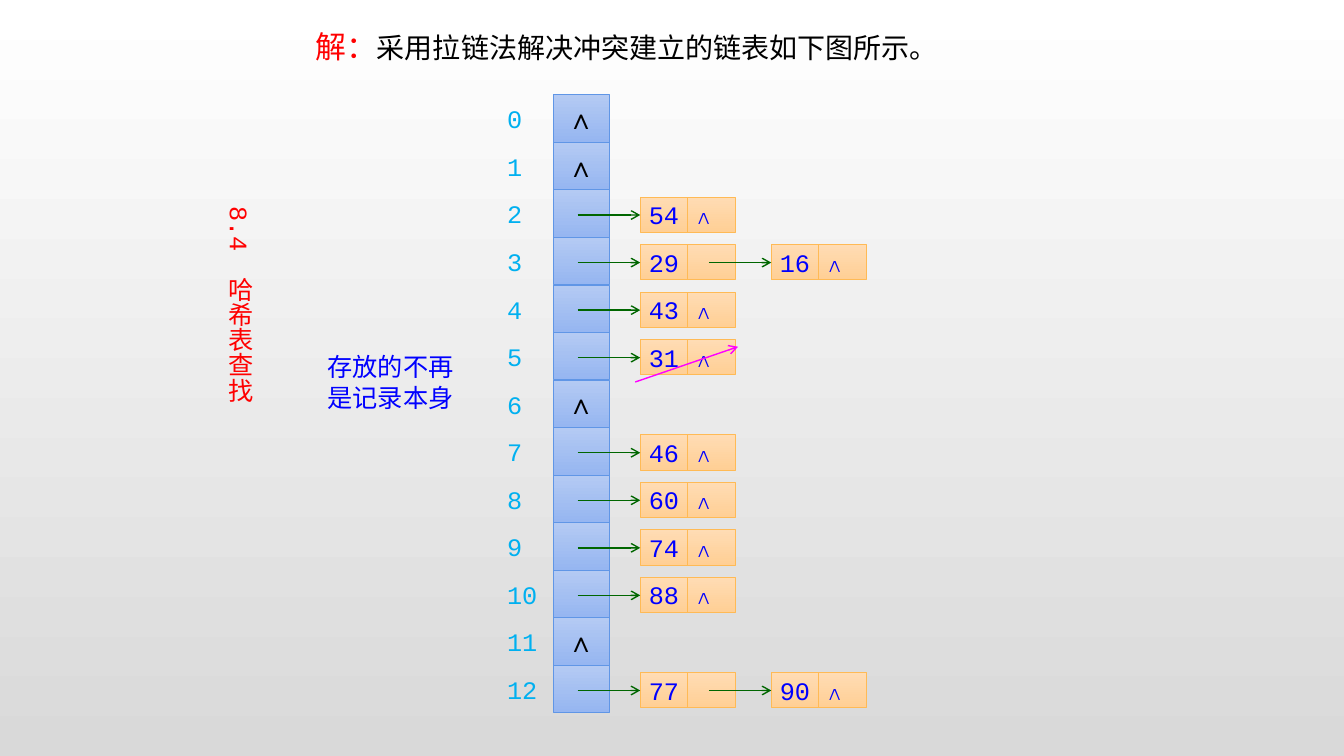
"""Draw the hash table slide with its chained lists."""
from lxml import etree
from pptx import Presentation
from pptx.dml.color import RGBColor
from pptx.enum.shapes import MSO_CONNECTOR, MSO_SHAPE
from pptx.enum.text import MSO_ANCHOR, PP_ALIGN
from pptx.oxml.ns import qn
from pptx.util import Inches, Pt

RECT = MSO_SHAPE.RECTANGLE
STRAIGHT = MSO_CONNECTOR.STRAIGHT
MIDDLE, TOP = MSO_ANCHOR.MIDDLE, MSO_ANCHOR.TOP
LEFT, CENTER = PP_ALIGN.LEFT, PP_ALIGN.CENTER

WHITE = RGBColor(0xFF, 0xFF, 0xFF)
GRAY = RGBColor(0xD9, 0xD9, 0xD9)
BLACK = RGBColor(0, 0, 0)
RED = RGBColor(0xFF, 0, 0)
BLUE = RGBColor(0, 0, 0xFF)
CYAN = RGBColor(0, 0xB0, 0xF0)
GREEN = RGBColor(0, 0x66, 0)
PINK = RGBColor(0xFF, 0, 0xFF)
SLOT = (RGBColor(0xB4, 0xCA, 0xF3), RGBColor(0x96, 0xB6, 0xF1), RGBColor(0x60, 0x96, 0xE6))
NODE = (RGBColor(0xFF, 0xDC, 0xB4), RGBColor(0xFF, 0xCF, 0x95), RGBColor(0xFF, 0xBA, 0x55))

SANS, MONO, HAN = "Arial", "Courier New", "Noto Sans CJK SC"
NIL = "∧"
ROWS = 13
FIRST, LAST = 0.94, 6.6
PITCH = (LAST - FIRST) / (ROWS - 1)
CHAINS = {2: [54], 3: [29, 16], 4: [43], 5: [31], 7: [46], 8: [60],
          9: [74], 10: [88], 12: [77, 90]}


def shade(fill, start, end):
    """Fill with a gradient that runs from top to bottom."""
    fill.gradient()
    fill.gradient_angle = 270
    for stop, color in zip(fill.gradient_stops, (start, end)):
        stop.color.rgb = color


def write(frame, *parts, font=MONO, east=None, size=18, color=BLUE, align=LEFT,
          anchor=TOP, pad=(0.1, 0.1)):
    """Write parts, each a text with its own size and color or a plain text."""
    frame.word_wrap = True
    frame.vertical_anchor = anchor
    frame.margin_left, frame.margin_right = map(Inches, pad)
    para = frame.paragraphs[0]
    para.alignment = align
    for part in parts:
        text, points, tint = part if isinstance(part, tuple) else (part, size, color)
        run = para.add_run()
        run.text = text
        run.font.name = font
        run.font.size = Pt(points)
        run.font.color.rgb = tint
        face = etree.SubElement(run.font._element, qn("a:ea"))
        face.set("typeface", east or font)


class Board:
    """Hold the slide and its style."""

    def __init__(self, slide):
        """Keep the slide and shade its background."""
        self.slide = slide
        shade(slide.background.fill, WHITE, GRAY)

    def text(self, x, y, w, h, *parts, **form):
        """Add a text box."""
        box = self.slide.shapes.add_textbox(*map(Inches, (x, y, w, h)))
        write(box.text_frame, *parts, **form)
        return box

    def cell(self, x, y, w, h, style, text="", **form):
        """Add a shaded cell."""
        box = self.slide.shapes.add_shape(RECT, *map(Inches, (x, y, w, h)))
        box.shadow.inherit = False
        start, end, edge = style
        shade(box.fill, start, end)
        box.line.color.rgb = edge
        box.line.width = Pt(0.5)
        if text:
            write(box.text_frame, text, align=CENTER, anchor=MIDDLE, **form)

    def arrow(self, x, y, x2, y2, color=GREEN):
        """Add an arrow."""
        line = self.slide.shapes.add_connector(STRAIGHT, *map(Inches, (x, y, x2, y2)))
        line.line.color.rgb = color
        line.line.width = Pt(1)
        tail = etree.SubElement(line.line._get_or_add_ln(), qn("a:tailEnd"))
        tail.set("type", "arrow")
        etree.SubElement(line._element.spPr, qn("a:effectLst"))

    def node(self, x, y, key, last):
        """Add a list node with its key and link."""
        self.cell(x, y, 0.47, 0.35, NODE, str(key), pad=(0, 0))
        self.cell(x + 0.47, y, 0.47, 0.35, NODE, NIL if last else "", pad=(0, 0.15))


def main():
    """Build and save the slide."""
    deck = Presentation()
    deck.slide_width, deck.slide_height = Inches(13.33), Inches(7.5)
    board = Board(deck.slides.add_slide(deck.slide_layouts[6]))

    board.text(3.03, 0.23, 8.25, 0.47, ("解：", 22, RED),
               "采用拉链法解决冲突建立的链表如下图所示。",
               font=SANS, east=HAN, size=20, color=BLACK)

    tops = [FIRST + PITCH * row for row in range(ROWS)]
    for row, top in enumerate(tops):
        board.cell(5.49, top, 0.55, 0.47, SLOT, "" if row in CHAINS else NIL,
                   font=SANS, size=20, color=BLACK)
        board.text(5.03, top + 0.04, 0.4, 0.4, str(row), color=CYAN, pad=(0, 0))

    for row, keys in CHAINS.items():
        for place, key in enumerate(keys):
            x, y = 6.35 + 1.3 * place, tops[row]
            board.node(x, y + 0.07, key, place == len(keys) - 1)
            board.arrow(x - 0.62, y + 0.25, x, y + 0.25)

    board.text(3.15, 3.44, 1.48, 0.71, "存放的不再是记录本身", font=HAN)
    board.arrow(6.3, 3.79, 7.32, 3.44, PINK)
    side = board.text(2.08, 1.95, 0.5, 3.05, "8.4　哈希表查找", east=HAN, color=RED,
                      pad=(0.1, 0.1))
    side.text_frame._txBody.bodyPr.set("vert", "eaVert")
    deck.save("out.pptx")


if __name__ == "__main__":
    main()
